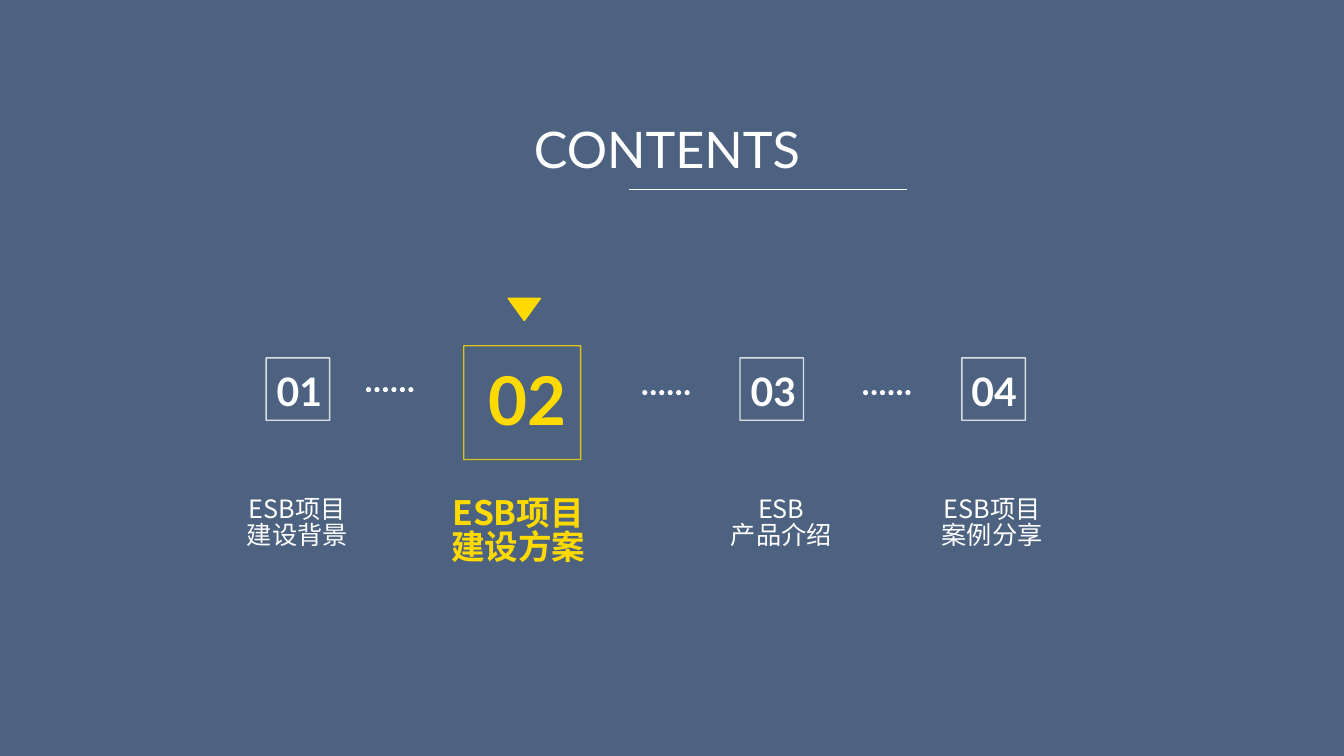
from dataclasses import dataclass

from lxml import etree
from pptx import Presentation
from pptx.dml.color import RGBColor
from pptx.enum.shapes import MSO_CONNECTOR, MSO_SHAPE
from pptx.enum.text import MSO_ANCHOR, MSO_AUTO_SIZE, PP_ALIGN
from pptx.oxml.ns import qn
from pptx.util import Inches, Pt

RECT, OVAL, TRI = MSO_SHAPE.RECTANGLE, MSO_SHAPE.OVAL, MSO_SHAPE.ISOSCELES_TRIANGLE
LINE, TOP, MID = MSO_CONNECTOR.STRAIGHT, MSO_ANCHOR.TOP, PP_ALIGN.CENTER
FIXED = MSO_AUTO_SIZE.NONE

COLORS = {"back": "4D6280", "plain": "FFFFFF", "active": "FFDA00"}
LATIN, HAN = "Lato", "Noto Sans CJK SC"


@dataclass
class Style:
    """Look of an item: colour, sizes in points, boxes in inches."""
    color: str
    box: tuple[float, float, float]  # top, width, height
    num: tuple[float, float, float]
    num_size: int
    text_size: int
    text_high: float
    bold: bool


@dataclass
class Item:
    num: str
    text: tuple[str, str]
    box_x: float
    num_x: float
    text_x: float
    style: Style


PLAIN = Style("plain", (3.55, 0.63, 0.62), (3.59, 0.96, 0.57), 28, 18, 0.71, False)
ACTIVE = Style("active", (3.43, 1.16, 1.13), (3.51, 1.77, 0.91), 48, 24, 1.25, True)

ITEMS = [
    Item("01", ("ESB项目", "建设背景"), 2.64, 2.49, 1.45, PLAIN),
    Item("02", ("ESB项目", "建设方案"), 4.6, 4.35, 3.64, ACTIVE),
    Item("03", ("ESB", "产品介绍"), 7.34, 7.19, 6.25, PLAIN),
    Item("04", ("ESB项目", "案例分享"), 9.54, 9.38, 8.34, PLAIN),
]

# Left and top of each row of dots
DOTS = [(3.63, 3.84), (6.37, 3.87), (8.56, 3.87)]
COUNT, STEP, DOT = 6, 0.084, 0.05


def tint(name: str) -> RGBColor:
    return RGBColor.from_string(COLORS[name])


def write(shape, lines: tuple[str, ...], color: str, gap: float = 1.0, **form) -> None:
    """Fill a text shape with centred lines in one format."""
    frame = shape.text_frame
    frame.word_wrap = True
    frame.auto_size = FIXED
    frame.vertical_anchor = TOP
    for i, line in enumerate(lines):
        para = frame.paragraphs[0] if i == 0 else frame.add_paragraph()
        para.alignment = MID
        para.line_spacing = gap
        para.space_before = Pt(0)
        run = para.add_run()
        run.text = line
        for key, value in form.items():
            setattr(run.font, key, value)
        run.font.color.rgb = tint(color)
        east = etree.SubElement(run.font._element, qn("a:ea"))
        east.set("typeface", form["name"])


def add_text(slide, at: tuple[float, ...], lines: tuple[str, ...], color: str, **form) -> None:
    box = slide.shapes.add_textbox(*map(Inches, at))
    write(box, lines, color, **form)


def add_solid(slide, kind, at: tuple[float, ...], color: str):
    """Add a filled shape with no line."""
    shape = slide.shapes.add_shape(kind, *map(Inches, at))
    shape.shadow.inherit = False
    shape.fill.solid()
    shape.fill.fore_color.rgb = tint(color)
    shape.line.fill.background()
    return shape


def add_frame(slide, at: tuple[float, ...], color: str) -> None:
    """Add an open box with a slightly clear line."""
    shape = add_solid(slide, RECT, at, color)
    shape.fill.background()
    shape.line.color.rgb = tint(color)
    shape.line.width = Pt(1)
    shade = shape.line._ln.find(".//" + qn("a:srgbClr"))
    etree.SubElement(shade, qn("a:alpha")).set("val", "80000")


def add_item(slide, item: Item) -> None:
    look = item.style
    (box_y, *box), (num_y, *num) = look.box, look.num
    add_text(slide, (item.text_x, 4.9, 3, look.text_high), item.text, look.color,
             gap=0.83, name=HAN, size=Pt(look.text_size), bold=look.bold)
    add_frame(slide, (item.box_x, box_y, *box), look.color)
    add_text(slide, (item.num_x, num_y, *num), (item.num,), look.color,
             name=LATIN, size=Pt(look.num_size), bold=True)


def main() -> None:
    deck = Presentation()
    deck.slide_width, deck.slide_height = Inches(13.33), Inches(7.5)
    slide = deck.slides.add_slide(deck.slide_layouts[5])
    slide.background.fill.solid()
    slide.background.fill.fore_color.rgb = tint("back")

    # Title and its rule
    title = slide.shapes.title
    title.left, title.top, title.width, title.height = map(Inches, (4.44, 1.12, 4.35, 0.71))
    write(title, ("CONTENTS",), "plain", name=LATIN, size=Pt(36), bold=False)
    rule = slide.shapes.add_connector(LINE, *map(Inches, (6.24, 1.88, 9, 1.88)))
    rule.line.color.rgb = tint("plain")
    rule.line.width = Pt(0.5)
    etree.SubElement(rule._element.spPr, qn("a:effectLst"))

    # Marker over the active item
    mark = add_solid(slide, TRI, (5.04, 2.96, 0.32, 0.22), "active")
    mark.rotation = 180
    mark.line.color.rgb = tint("active")
    mark.line.width = Pt(1)

    # Numbered items and the dots between them
    for item in ITEMS:
        add_item(slide, item)
    for left, top in DOTS:
        for i in range(COUNT):
            add_solid(slide, OVAL, (left + i * STEP, top, DOT, DOT), "plain")

    deck.save("out.pptx")


if __name__ == "__main__":
    main()
